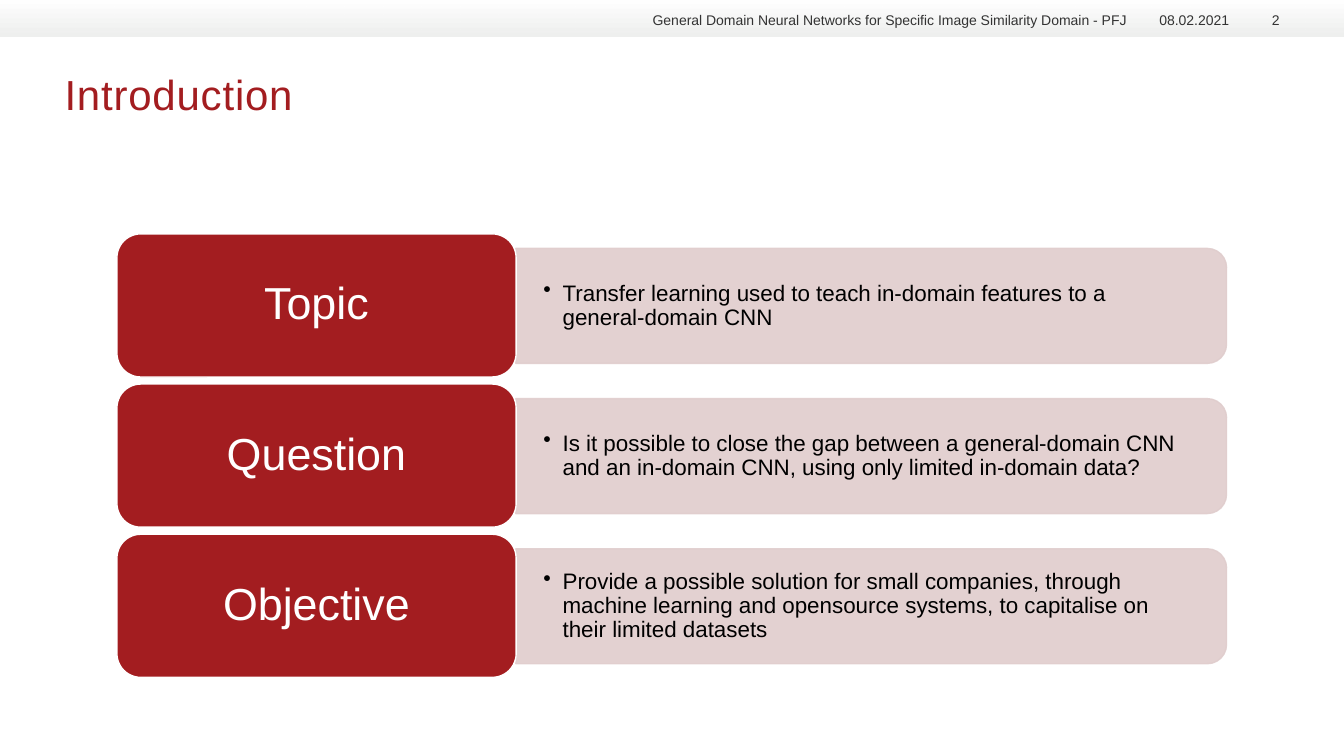
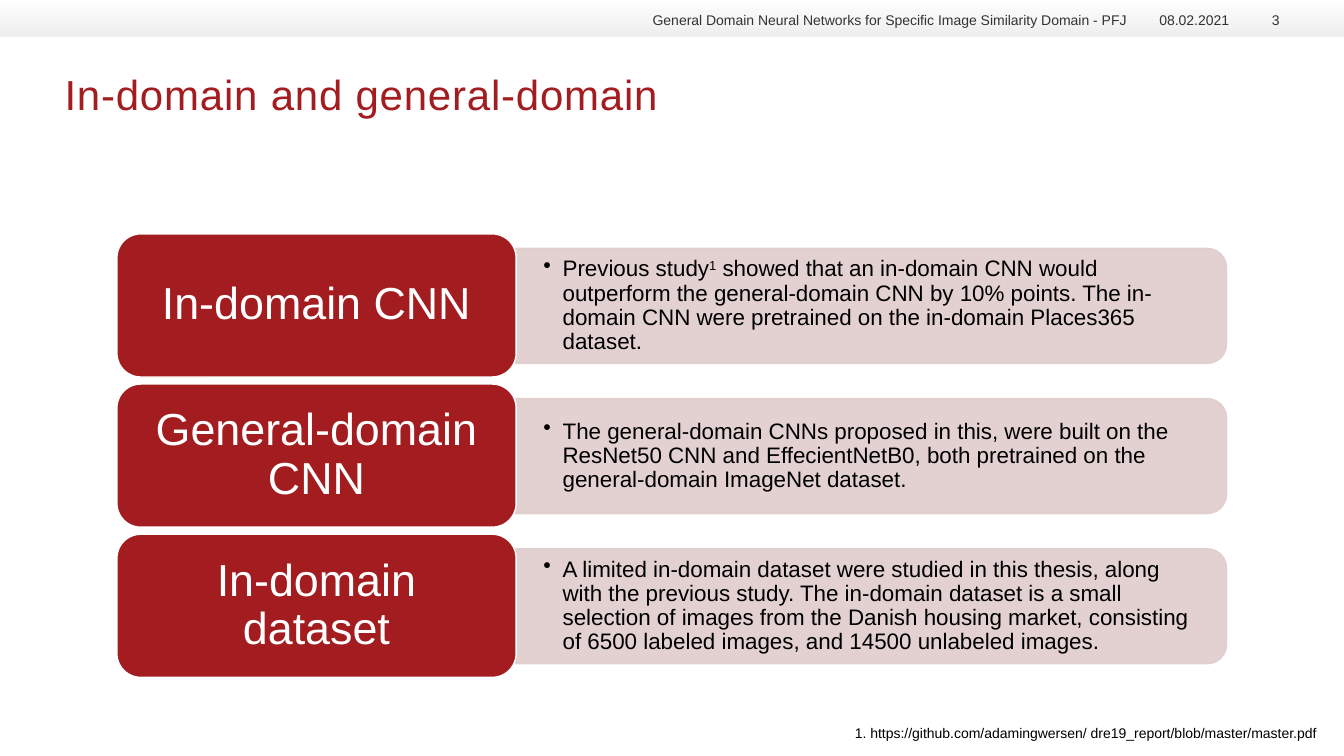
from lxml.etree import SubElement
from pptx import Presentation
from pptx.dml.color import RGBColor
from pptx.enum.shapes import MSO_SHAPE as Shape
from pptx.enum.text import MSO_ANCHOR as Anchor, PP_ALIGN as Align
from pptx.oxml.ns import qn
from pptx.util import Emu, Pt

EMU_PER_PX = 9144
WIDTH, HEIGHT = 1333, 750
ROW_TOP, ROW_PITCH = 232, 149
LABEL_LEFT, LABEL_WIDTH, LABEL_HEIGHT = 116, 396, 142
PANEL_WIDTH, PANEL_HEIGHT = 705, 114

RUNNING_TITLE = "General Domain Neural Networks for Speciﬁc Image Similarity Domain - PFJ"
DATE = "08.02.2021"

INTRODUCTION = [
    ("Topic", ["Transfer learning used to teach in-domain features to a general-domain CNN"]),
    ("Question", ["Is it possible to close the gap between a general-domain CNN and an "
                  "in-domain CNN, using only limited in-domain data?"]),
    ("Objective", ["Provide a possible solution for small companies, through machine learning "
                   "and opensource systems, to capitalise on their limited datasets"]),
]
DOMAINS = [
    ("In-domain CNN", ["Previous study", ("1", 30),
                       " showed that an in-domain CNN would outperform the general-domain CNN "
                       "by 10% points. The in-domain CNN were pretrained on the in-domain "
                       "Places365 dataset."]),
    ("General-domain CNN", ["The general-domain CNNs proposed in this, were built on the ResNet50 "
                            "CNN and EffecientNetB0, both pretrained on the general-domain "
                            "ImageNet dataset."]),
    ("In-domain dataset", ["A limited in-domain dataset were studied in this thesis, along with "
                           "the previous study. The in-domain dataset is a small selection of "
                           "images from the Danish housing market, consisting of 6500 labeled "
                           "images, and 14500 unlabeled images."]),
]
FOOTNOTE = "1. https://github.com/adamingwersen/ dre19_report/blob/master/master.pdf"


def px(*lengths):
    return [Emu(length * EMU_PER_PX) for length in lengths]


def colour(code):
    return RGBColor.from_string(code)


def fade(colour_element, percent):
    SubElement(colour_element, qn("a:alpha"), val=str(percent * 1000))


class Slides:
    FONT = "Arial"
    RED, ROSE, WHITE, BLACK, GREY = "A31D20", "E0CDCD", "FFFFFF", "000000", "333333"
    BAND_END = "EEEFEE"

    def __init__(self):
        self.deck = Presentation()
        self.deck.slide_width, self.deck.slide_height = px(WIDTH, HEIGHT)
        self.page = None

    def start(self, title, number):
        self.page = self.deck.slides.add_slide(self.deck.slide_layouts[6])
        self.band()
        self.text((64, 68, 1204, 95), [title], 30, self.RED, spacing=60)
        for left, width, words in ((1130, 89, DATE), (1227, 42, str(number)),
                                   (354, 763, RUNNING_TITLE)):
            self.text((left, 9, width, 19), [words], 10, self.GREY,
                      align=Align.RIGHT, anchor=Anchor.BOTTOM)

    def shape(self, kind, place):
        shape = self.page.shapes.add_shape(kind, *px(*place))
        shape.shadow.inherit = False
        return shape

    def band(self):
        band = self.shape(Shape.RECTANGLE, (0, 0, WIDTH, 36))
        band.line.fill.background()
        band.fill.gradient()
        band.fill.gradient_angle = 270
        for stop, code in zip(band.fill.gradient_stops, (self.WHITE, self.BAND_END)):
            stop.color.rgb = colour(code)
        fade(list(band.element.spPr.iter(qn("a:srgbClr")))[-1], 93)

    def paint(self, shape, fill, line):
        shape.fill.solid()
        shape.fill.fore_color.rgb = colour(fill)
        shape.line.color.rgb = colour(line)
        shape.line.width = Pt(1)

    def text(self, place, runs, size, code, **style):
        box = self.page.shapes.add_textbox(*px(*place))
        self.add_words(box, runs, size, code, **style)

    def add_words(self, box, runs, size, code, align=Align.LEFT, anchor=Anchor.TOP,
                  insets=(0, 0), spacing=0, leading=None, bullet=False):
        frame = box.text_frame
        frame.word_wrap = True
        frame.vertical_anchor = anchor
        frame.margin_left, frame.margin_top = px(*insets)
        frame.margin_right, frame.margin_bottom = px(*insets)
        para = frame.paragraphs[0]
        if bullet:
            indent, = px(19)
            properties = para._p.get_or_add_pPr()
            properties.set("marL", str(indent))
            properties.set("indent", str(-indent))
            SubElement(properties, qn("a:buChar"), char="•")
        para.alignment = align
        para.line_spacing = leading
        for run in runs:
            words, raised = run if isinstance(run, tuple) else (run, 0)
            span = para.add_run()
            span.text = words
            span.font.name = self.FONT
            span.font.size = Pt(size)
            span.font.color.rgb = colour(code)
            if spacing:
                span.font._element.set("spc", str(spacing))
            if raised:
                span.font._element.set("baseline", str(raised * 1000))

    def panel(self, left, middle, runs):
        panel = self.shape(Shape.ROUND_2_SAME_RECTANGLE,
                           (left + (PANEL_WIDTH - PANEL_HEIGHT) // 2, middle - PANEL_WIDTH // 2,
                            PANEL_HEIGHT, PANEL_WIDTH))
        panel.rotation = 90
        self.paint(panel, self.ROSE, self.ROSE)
        for element in panel.element.spPr.iter(qn("a:srgbClr")):
            fade(element, 90)
        self.text((left, middle - 51, 699, 103), runs, 16, self.BLACK,
                  anchor=Anchor.MIDDLE, insets=(27, 14), leading=0.9, bullet=True)

    def label(self, top, words):
        label = self.shape(Shape.ROUNDED_RECTANGLE,
                           (LABEL_LEFT, top, LABEL_WIDTH, LABEL_HEIGHT))
        self.paint(label, self.RED, self.WHITE)
        self.add_words(label, [words], 32, self.WHITE, align=Align.CENTER,
                       anchor=Anchor.MIDDLE, insets=(13, 7), leading=0.9)

    def rows(self, rows):
        for index, (words, runs) in enumerate(rows):
            top = ROW_TOP + index * ROW_PITCH
            self.panel(LABEL_LEFT + LABEL_WIDTH, top + LABEL_HEIGHT // 2, runs)
            self.label(top, words)

    def footnote(self, words):
        self.text((838, 714, 495, 27), [words], 10, self.BLACK, insets=(10, 5))


def main():
    slides = Slides()
    slides.start("Introduction", 2)
    slides.rows(INTRODUCTION)
    slides.start("In-domain and general-domain", 3)
    slides.rows(DOMAINS)
    slides.footnote(FOOTNOTE)
    slides.deck.save("out.pptx")


if __name__ == "__main__":
    main()
